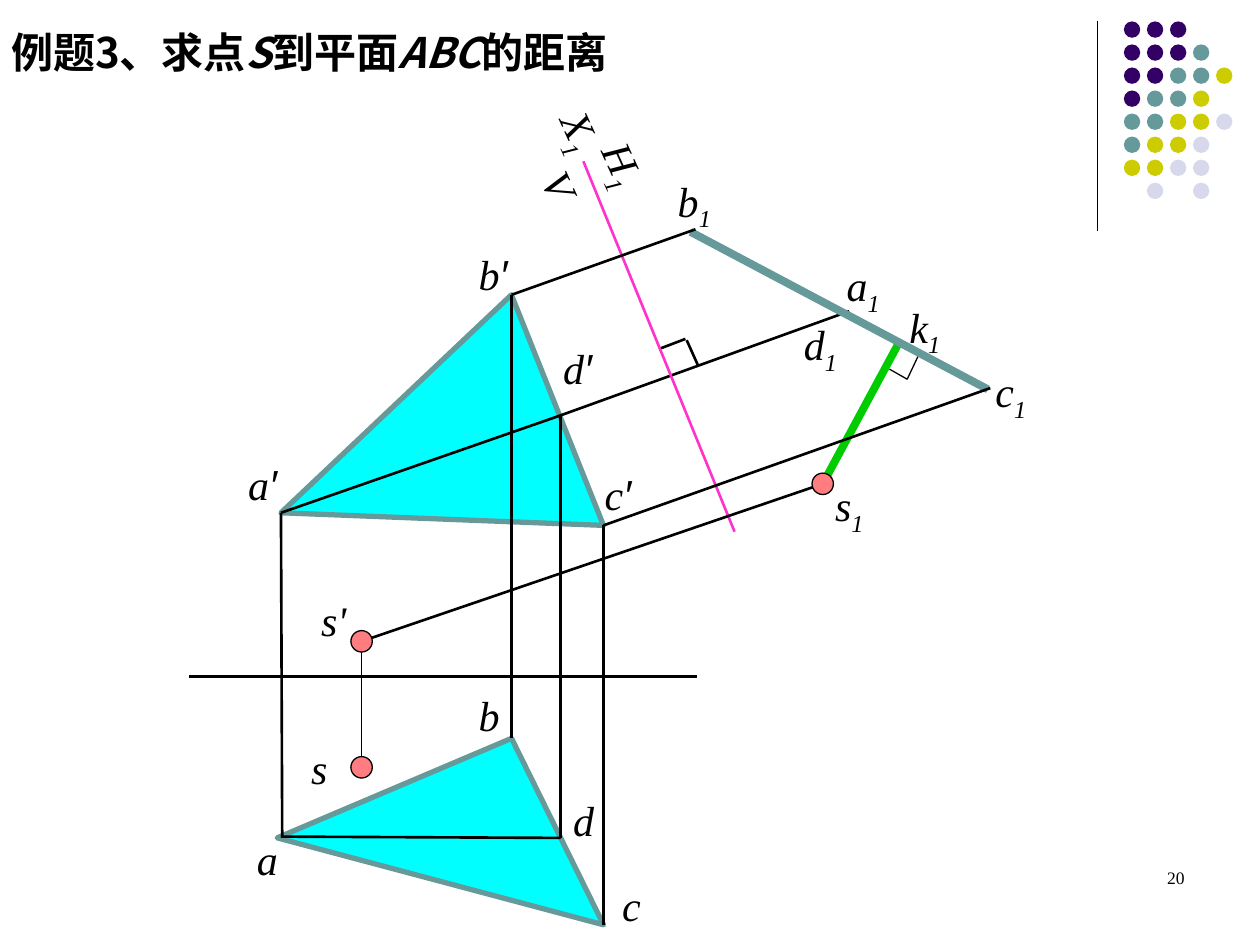
"""Build the descriptive-geometry slide on the distance from point S to plane ABC."""
from typing import NamedTuple

import pptx
import pptx.dml.color
import pptx.enum.shapes
import pptx.enum.text
import pptx.oxml.ns
import pptx.util
from lxml import etree

Inches = pptx.util.Inches
Pt = pptx.util.Pt
Point = tuple[float, float]

BLACK, TEAL, CYAN, GREEN = "000000", "669999", "00FFFF", "00CC00"
MAGENTA, PINK = "FF33CC", "FF7C80"
SERIF, SANS, HEADING = "Times New Roman", "Arial", "Noto Sans CJK SC"
DOT_COLORS = {"P": "330066", "T": TEAL, "Y": "CCCC00", "L": "D8D8EC"}
DOT_ROWS = ("PPP", "PPPT", "PPTTY", "PTTY", "TTYYL", "TYYL", "YYLL", " L L")
DOT_SIZE, DOT_PITCH = 0.13, 1.28 / 7
DOT_LEFT, DOT_TOP = 8.92, 0.17
POINT_SIZE = 0.17

A_FRONT, B_FRONT, C_FRONT, D_FRONT = (2.23, 4.07), (4.06, 2.34), (4.79, 4.17), (4.44, 3.3)
A_TOP, B_TOP, C_TOP, D_TOP = (2.2, 6.65), (4.06, 5.86), (4.79, 7.34), (4.45, 6.65)
A_AUX, B_AUX, C_AUX, K_AUX = (6.74, 2.47), (5.52, 1.82), (7.86, 3.08), (7.14, 2.71)
S_FRONT, S_TOP, S_AUX = (2.87, 5.09), (2.87, 6.09), (6.53, 3.84)


class Segment(NamedTuple):
    start: Point
    end: Point
    color: str = BLACK
    weight: float = 1.5


class Run(NamedTuple):
    text: str
    font: str = SERIF
    size: float = 24
    bold: bool = False
    italic: bool = True
    baseline: int = 0


class Label(NamedTuple):
    runs: list[Run]
    left: float
    top: float
    width: float
    height: float = 0.5
    rotation: float = 0


def subscripted(letter: str) -> list[Run]:
    return [Run(letter), Run("1", baseline=-25000)]


def primed(letter: str) -> list[Run]:
    return [Run(letter), Run("′", SANS)]


def heading(text: str, italic: bool = False) -> Run:
    return Run(text, HEADING, bold=True, italic=italic)


SEGMENTS = [
    Segment((8.71, 0.17), (8.71, 1.83), weight=0.75),
    Segment(S_AUX, K_AUX, GREEN, 4.5),
    Segment((7.29, 2.82), (7.2, 3.01), weight=0.75),
    Segment((7.2, 3.01), (7.06, 2.93), weight=0.75),
    Segment(D_FRONT, A_AUX),
    Segment((5.23, 2.77), (5.44, 2.69)),
    Segment((5.45, 2.7), (5.54, 2.9)),
    Segment((4.63, 1.28), (5.83, 4.22), MAGENTA),
    Segment((5.48, 1.84), (7.84, 3.09), TEAL, 4.5),
    Segment(B_FRONT, B_AUX),
    Segment(C_FRONT, C_AUX),
    Segment(S_FRONT, S_AUX),
    Segment((1.5, 5.37), (5.53, 5.37)),
    Segment(A_FRONT, (2.24, 6.64)),
    Segment(B_FRONT, B_TOP),
    Segment(C_FRONT, C_TOP),
    Segment((4.45, 3.29), D_TOP),
    Segment((2.23, 6.64), D_TOP),
    Segment(A_FRONT, D_FRONT),
    Segment(S_FRONT, S_TOP, weight=0.75),
]

LABELS = [
    Label(subscripted("k"), 7.12, 2.34, 0.9, 0.56),
    Label(subscripted("X"), 4.32, 0.81, 0.58, 0.56, 65.6),
    Label(subscripted("H"), 4.6, 1.13, 0.75, 0.56, 65.6),
    Label([Run("V")], 4.13, 1.41, 0.81, 0.5, 65.6),
    Label(subscripted("b"), 5.28, 1.34, 0.8, 0.56, 359.6),
    Label(subscripted("a"), 6.62, 2.01, 0.77, 0.56, 359.6),
    Label(subscripted("c"), 7.8, 2.85, 0.98, 0.56, 359.6),
    Label(subscripted("d"), 6.28, 2.48, 0.59, 0.56, 359.6),
    Label(subscripted("s"), 6.53, 3.76, 0.59, 0.56),
    Label(primed("a"), 1.87, 3.59, 0.59),
    Label(primed("b"), 3.7, 1.92, 0.82),
    Label(primed("c"), 4.7, 3.67, 0.75),
    Label(primed("d"), 4.37, 2.67, 0.58),
    Label([Run("s'")], 2.45, 4.67, 0.59),
    Label([Run("a")], 1.94, 6.57, 0.81),
    Label([Run("b")], 3.7, 5.42, 0.45),
    Label([Run("c")], 4.84, 6.93, 0.9),
    Label([Run("d")], 4.45, 6.26, 0.57),
    Label([Run("s")], 2.37, 5.84, 0.59),
    Label([heading("例题3、求点"), heading("S", True), heading("到平面"),
           heading("ABC", True), heading("的距离")], -0.01, 0.16, 5.35),
]


def rgb(value: str) -> pptx.dml.color.RGBColor:
    return pptx.dml.color.RGBColor.from_string(value)


def paint(shape, fill: str, line: str | None = None, weight: float = 0.75) -> None:
    shape.shadow.inherit = False
    shape.fill.solid()
    shape.fill.fore_color.rgb = rgb(fill)
    if line is None:
        shape.line.fill.background()
    else:
        shape.line.color.rgb = rgb(line)
        shape.line.width = Pt(weight)


def draw_segment(slide, segment: Segment) -> None:
    ends = [Inches(value) for value in segment.start + segment.end]
    connector = slide.shapes.add_connector(pptx.enum.shapes.MSO_CONNECTOR.STRAIGHT, *ends)
    connector.line.color.rgb = rgb(segment.color)
    connector.line.width = Pt(segment.weight)
    etree.SubElement(connector._element.spPr, pptx.oxml.ns.qn("a:effectLst"))


def draw_triangle(slide, *corners: Point) -> None:
    first, *others = [(Inches(x), Inches(y)) for x, y in corners]
    builder = slide.shapes.build_freeform(*first)
    builder.add_line_segments(others, close=True)
    paint(builder.convert_to_shape(), CYAN, TEAL, 3)


def draw_circle(slide, left: float, top: float, size: float, fill: str,
                line: str | None = None) -> None:
    circle = slide.shapes.add_shape(pptx.enum.shapes.MSO_SHAPE.OVAL, Inches(left),
                                    Inches(top), Inches(size), Inches(size))
    paint(circle, fill, line)


def draw_label(slide, label: Label, align=pptx.enum.text.PP_ALIGN.LEFT) -> None:
    box = slide.shapes.add_textbox(Inches(label.left), Inches(label.top),
                                   Inches(label.width), Inches(label.height))
    box.rotation = label.rotation
    box.text_frame.word_wrap = True
    paragraph = box.text_frame.paragraphs[0]
    paragraph.alignment = align
    for part in label.runs:
        run = paragraph.add_run()
        run.text = part.text
        run.font.name = part.font
        run.font.size = Pt(part.size)
        run.font.bold = part.bold
        run.font.italic = part.italic
        run.font.color.rgb = rgb(BLACK)
        properties = run._r.get_or_add_rPr()
        etree.SubElement(properties, pptx.oxml.ns.qn("a:ea"), typeface=part.font)
        if part.baseline:
            properties.set("baseline", str(part.baseline))


def main() -> None:
    deck = pptx.Presentation()
    deck.slide_width, deck.slide_height = Inches(10), Inches(7.5)
    slide = deck.slides.add_slide(deck.slide_layouts[6])
    for row, codes in enumerate(DOT_ROWS):
        for column, code in enumerate(codes):
            if code in DOT_COLORS:
                draw_circle(slide, DOT_LEFT + column * DOT_PITCH, DOT_TOP + row * DOT_PITCH,
                            DOT_SIZE, DOT_COLORS[code])
    draw_triangle(slide, A_FRONT, C_FRONT, B_FRONT)
    draw_triangle(slide, A_TOP, B_TOP, C_TOP)
    for segment in SEGMENTS:
        draw_segment(slide, segment)
    for x, y in (S_AUX, S_TOP, S_FRONT):
        draw_circle(slide, x - POINT_SIZE / 2, y - POINT_SIZE / 2, POINT_SIZE, PINK, BLACK)
    for label in LABELS:
        draw_label(slide, label)
    page_number = Label([Run("20", size=10, italic=False)], 7.17, 6.83, 2.33)
    draw_label(slide, page_number, pptx.enum.text.PP_ALIGN.RIGHT)
    deck.save("out.pptx")


if __name__ == "__main__":
    main()
